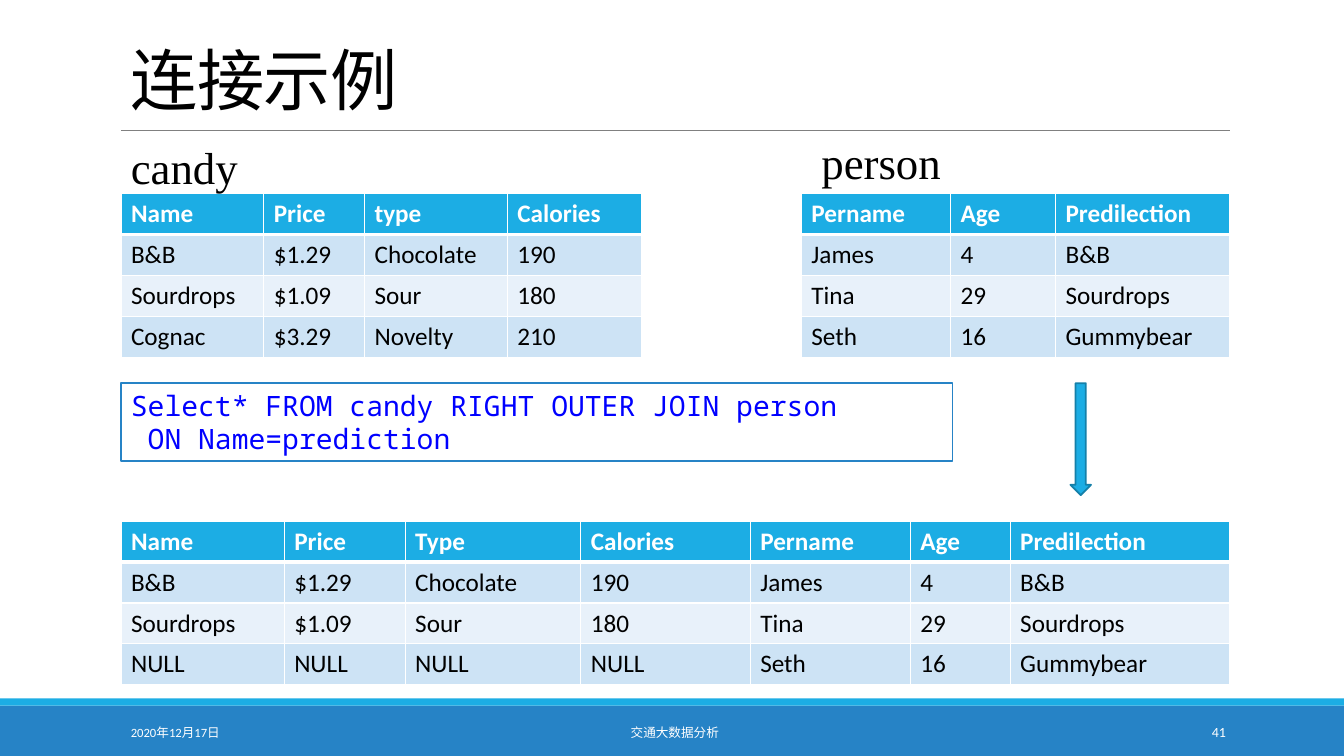
from dataclasses import dataclass

from lxml import etree
from pptx import Presentation
from pptx.dml.color import RGBColor
from pptx.enum.shapes import MSO_CONNECTOR, MSO_SHAPE
from pptx.enum.text import MSO_ANCHOR, PP_ALIGN
from pptx.oxml.ns import qn
from pptx.util import Pt

RECTANGLE, DOWN_ARROW = MSO_SHAPE.RECTANGLE, MSO_SHAPE.DOWN_ARROW
STRAIGHT = MSO_CONNECTOR.STRAIGHT
TOP, MIDDLE, BOTTOM = MSO_ANCHOR.TOP, MSO_ANCHOR.MIDDLE, MSO_ANCHOR.BOTTOM
LEFT, CENTER, RIGHT = PP_ALIGN.LEFT, PP_ALIGN.CENTER, PP_ALIGN.RIGHT

BLACK, WHITE, GREY, CODE_BLUE = "000000", "FFFFFF", "808080", "0000FF"
SKY, BLUE, ARROW_EDGE = "1CADE4", "2683C6", "1580A9"
BANDS = ("CDE3F5", "E8F1FA")
SANS, SERIF, MONO = "Calibri", "Times New Roman", "Noto Sans Mono"

PAGE_WIDTH, PAGE_HEIGHT = 960, 540
MARGIN = 86.4
CONTENT_WIDTH = 792
ROW_HEIGHT = 29.2
SOURCE_TOP, RESULT_TOP, QUERY_TOP = 138.3, 372.3, 273.7
FOOTER_TOP, FOOTER_HEIGHT = 508.5, 28.8


@dataclass(frozen=True)
class Label:
    text: str
    left: float
    top: float
    width: float
    height: float
    size: float
    font: str = SANS
    color: str = BLACK
    anchor: MSO_ANCHOR = TOP
    align: PP_ALIGN = LEFT
    wrap: bool = True
    line_spacing: float = 1.0
    tracking: float = 0


@dataclass(frozen=True)
class Block:
    kind: MSO_SHAPE
    left: float
    top: float
    width: float
    height: float
    fill: str
    edge: str = ""


@dataclass(frozen=True)
class Relation:
    left: float
    top: float
    widths: tuple[float, ...]
    rows: tuple[tuple[str, ...], ...]


BLOCKS = (
    Block(RECTANGLE, 0, 504, PAGE_WIDTH, 36, BLUE),
    Block(RECTANGLE, 0, 498.8, PAGE_WIDTH, 5.2, SKY),
    Block(DOWN_ARROW, 764.6, QUERY_TOP, 14.7, 80, SKY, ARROW_EDGE),
)
QUERY_BLOCK = Block(RECTANGLE, MARGIN, QUERY_TOP, 594, 55.7, WHITE, BLUE)
QUERY = Label("Select* FROM candy RIGHT OUTER JOIN person\n ON Name=prediction",
              MARGIN, QUERY_TOP, 594, 55.7, 20, MONO, CODE_BLUE)

LABELS = (
    Label("连接示例", MARGIN, 10, CONTENT_WIDTH, 78.5, 48, anchor=BOTTOM,
          line_spacing=0.85, tracking=-0.5),
    Label("candy", MARGIN, 96, 91.5, 46, 32, SERIF, wrap=False),
    Label("person", 579.6, 92.5, 101, 46, 32, SERIF, wrap=False),
    Label("2020年12月17日", MARGIN, FOOTER_TOP, 194.4, FOOTER_HEIGHT, 9,
          color=WHITE, anchor=MIDDLE),
    Label("交通大数据分析", 292.3, FOOTER_TOP, 379.4, FOOTER_HEIGHT, 9,
          color=WHITE, anchor=MIDDLE, align=CENTER),
    Label("41", 779.8, FOOTER_TOP, 103, FOOTER_HEIGHT, 10,
          color=WHITE, anchor=MIDDLE, align=RIGHT),
)

RELATIONS = (
    Relation(MARGIN, SOURCE_TOP, (102, 72, 102, 95.8), (
        ("Name", "Price", "type", "Calories"),
        ("B&B", "$1.29", "Chocolate", "190"),
        ("Sourdrops", "$1.09", "Sour", "180"),
        ("Cognac", "$3.29", "Novelty", "210"),
    )),
    Relation(572.4, SOURCE_TOP, (106.6, 75, 124.4), (
        ("Pername", "Age", "Predilection"),
        ("James", "4", "B&B"),
        ("Tina", "29", "Sourdrops"),
        ("Seth", "16", "Gummybear"),
    )),
    Relation(MARGIN, RESULT_TOP, (116.6, 86.4, 125.5, 121, 114.4, 71.3, 156.8), (
        ("Name", "Price", "Type", "Calories", "Pername", "Age", "Predilection"),
        ("B&B", "$1.29", "Chocolate", "190", "James", "4", "B&B"),
        ("Sourdrops", "$1.09", "Sour", "180", "Tina", "29", "Sourdrops"),
        ("NULL", "NULL", "NULL", "NULL", "Seth", "16", "Gummybear"),
    )),
)


def rgb(value: str) -> RGBColor:
    return RGBColor.from_string(value)


def write_text(frame, label: Label) -> None:
    frame.word_wrap = label.wrap
    frame.vertical_anchor = label.anchor
    frame.text = label.text
    for para in frame.paragraphs:
        para.alignment = label.align
        para.line_spacing = label.line_spacing
        for span in para.runs:
            span.font.size = Pt(label.size)
            span.font.name = label.font
            span.font.color.rgb = rgb(label.color)
            if label.tracking:
                span.font._element.set("spc", str(round(label.tracking * 100)))


def add_label(page, label: Label) -> None:
    box = page.shapes.add_textbox(Pt(label.left), Pt(label.top),
                                  Pt(label.width), Pt(label.height))
    write_text(box.text_frame, label)


def add_block(page, block: Block):
    shape = page.shapes.add_shape(block.kind, Pt(block.left), Pt(block.top),
                                  Pt(block.width), Pt(block.height))
    shape.shadow.inherit = False
    shape.fill.solid()
    shape.fill.fore_color.rgb = rgb(block.fill)
    if block.edge:
        shape.line.color.rgb = rgb(block.edge)
        shape.line.width = Pt(1.25)
    else:
        shape.line.fill.background()
    return shape


def add_title_rule(page) -> None:
    rule = page.shapes.add_connector(STRAIGHT, Pt(MARGIN), Pt(93),
                                     Pt(MARGIN + CONTENT_WIDTH), Pt(93))
    rule.line.color.rgb = rgb(GREY)
    rule.line.width = Pt(0.5)
    etree.SubElement(rule._element.spPr, qn("a:effectLst"))


def set_borders(cell, top: float, bottom: float) -> None:
    """Draw white cell borders; side borders are one point wide."""
    properties = cell._tc.get_or_add_tcPr()
    for side, width in (("L", 1), ("R", 1), ("T", top), ("B", bottom)):
        border = etree.SubElement(properties, qn(f"a:ln{side}"), w=str(Pt(width)))
        fill = etree.SubElement(border, qn("a:solidFill"))
        etree.SubElement(fill, qn("a:srgbClr"), val=WHITE)


def add_relation(page, relation: Relation) -> None:
    row_count = len(relation.rows)
    frame = page.shapes.add_table(
        row_count, len(relation.widths), Pt(relation.left), Pt(relation.top),
        Pt(sum(relation.widths)), Pt(ROW_HEIGHT * row_count))
    table = frame.table
    for column, width in zip(table.columns, relation.widths):
        column.width = Pt(width)
    for index, values in enumerate(relation.rows):
        table.rows[index].height = Pt(ROW_HEIGHT)
        header = index == 0
        for cell, value in zip(table.rows[index].cells, values):
            set_borders(cell, top=3 if index == 1 else 1, bottom=3 if header else 1)
            cell.fill.solid()
            cell.fill.fore_color.rgb = rgb(SKY if header else BANDS[(index - 1) % 2])
            cell.text = value
            font = cell.text_frame.paragraphs[0].runs[0].font
            font.size = Pt(18)
            font.name = SANS
            font.bold = header
            font.color.rgb = rgb(WHITE if header else BLACK)


def main() -> None:
    deck = Presentation()
    deck.slide_width, deck.slide_height = Pt(PAGE_WIDTH), Pt(PAGE_HEIGHT)
    page = deck.slides.add_slide(deck.slide_layouts[6])
    for block in BLOCKS:
        add_block(page, block)
    add_title_rule(page)
    for relation in RELATIONS:
        add_relation(page, relation)
    for label in LABELS:
        add_label(page, label)
    write_text(add_block(page, QUERY_BLOCK).text_frame, QUERY)
    deck.save("out.pptx")


if __name__ == "__main__":
    main()
